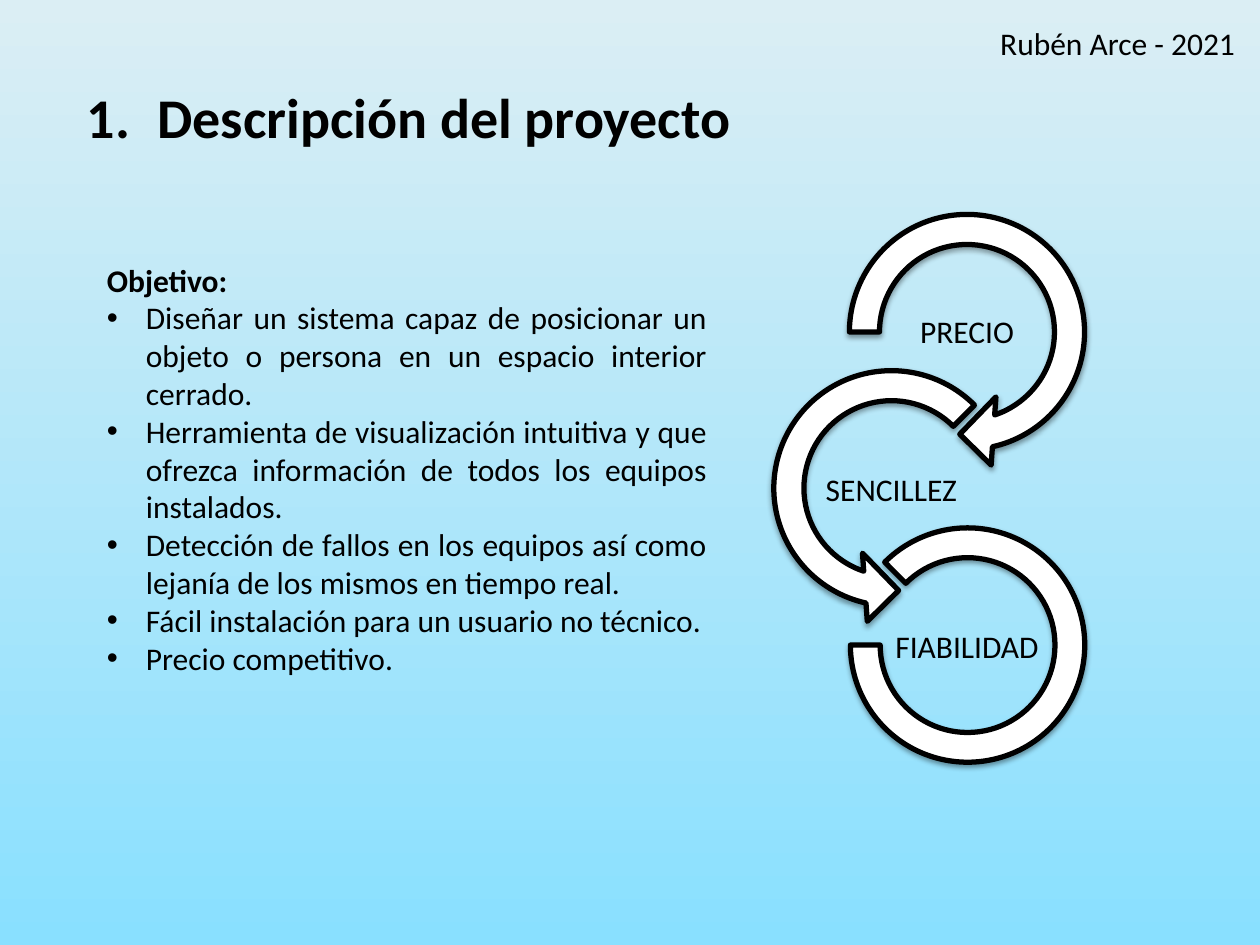
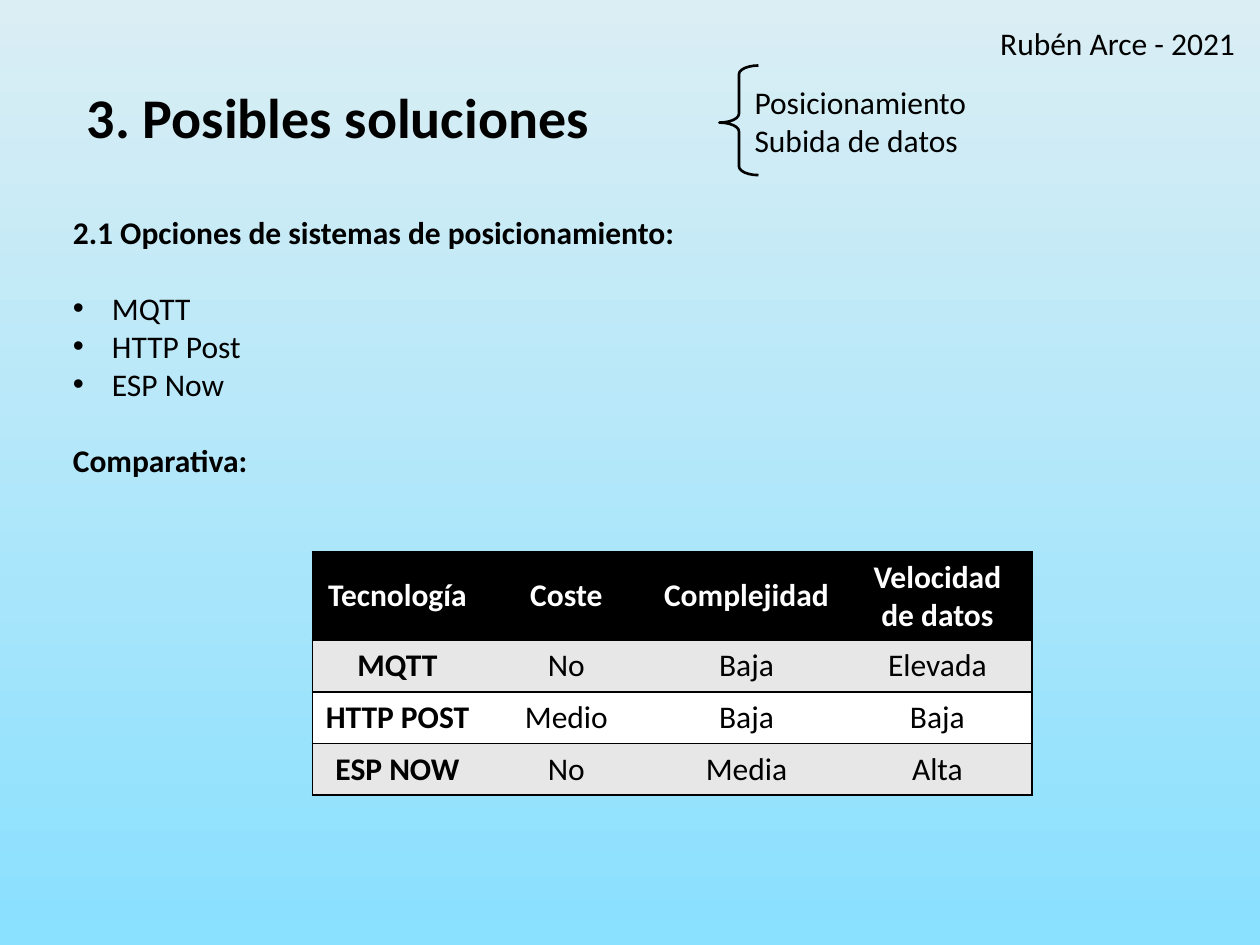
from lxml import etree
from pptx import Presentation
from pptx import util as u
from pptx.dml.color import RGBColor
from pptx.enum import shapes, text
from pptx.oxml import parse_xml
from pptx.oxml.ns import nsdecls, qn

FONT = "Calibri"
BLACK, WHITE, GREY = "000000", "FFFFFF", "E7E7E7"
SKY_TOP, SKY_BOTTOM = "DBEEF4", "89E0FF"
PLAIN_TABLE = "{2D5ABB26-0587-4C30-8999-92F81FD0307C}"
LEFT, CENTER, JUSTIFY = text.PP_ALIGN.LEFT, text.PP_ALIGN.CENTER, text.PP_ALIGN.JUSTIFY
TOP, MIDDLE = text.MSO_ANCHOR.TOP, text.MSO_ANCHOR.MIDDLE
SHAPE = shapes.MSO_SHAPE


def color(code):
    return RGBColor.from_string(code)


def inches(values):
    return [u.Inches(value) for value in values]


def write(para, words, size=18, ink=BLACK, bold=False, align=LEFT,
          before=0, bullet=None, indent=0.31):
    """Fill one paragraph with formatted text; bullet is a character or "auto"."""
    para.alignment = align
    para.space_before = u.Pt(before)
    span = para.add_run()
    span.text = words
    span.font.name, span.font.size, span.font.bold = FONT, u.Pt(size), bold
    span.font.color.rgb = color(ink)
    if bullet:
        props = para._p.get_or_add_pPr()
        props.set("marL", str(u.Inches(indent)))
        props.set("indent", str(-u.Inches(indent)))
        if bullet == "auto":
            etree.SubElement(props, qn("a:buAutoNum"), type="arabicPeriod")
        else:
            etree.SubElement(props, qn("a:buFont"), typeface="Arial")
            etree.SubElement(props, qn("a:buChar"), char=bullet)


class Builder:
    def __init__(self):
        self.deck = Presentation()
        self.deck.slide_width, self.deck.slide_height = inches((10, 7.5))
        self.page = None

    def new_page(self):
        """Start a slide with the shared sky background and author line."""
        self.page = self.deck.slides.add_slide(self.deck.slide_layouts[6])
        fill = self.page.background.fill
        fill.gradient()
        fill.gradient_angle = 270
        for stop, code in zip(fill.gradient_stops, (SKY_TOP, SKY_BOTTOM)):
            stop.color.rgb = color(code)
        self.text(["Rubén Arce - 2021"], (7.84, 0.14, 2.2, 0.4))

    def title(self, words, width, **style):
        self.text([words], (0.59, 0.61, width, 0.64), size=32, bold=True, **style)

    def text(self, lines, at, anchor=TOP, inset=None, **style):
        """Add a text box; a line is a string or a (string, format) pair."""
        box = self.page.shapes.add_textbox(*inches(at))
        frame = box.text_frame
        frame.word_wrap, frame.vertical_anchor = True, anchor
        if inset is not None:
            frame.margin_left = frame.margin_right = u.Inches(inset)
            frame.margin_top = frame.margin_bottom = u.Inches(inset)
        for index, line in enumerate(lines):
            words, extra = (line, {}) if isinstance(line, str) else line
            para = frame.add_paragraph() if index else frame.paragraphs[0]
            write(para, words, **{**style, **extra})

    def shape(self, kind, at, adjustments, line, fill=None, shadow=False):
        box = self.page.shapes.add_shape(kind, *inches(at))
        for index, value in enumerate(adjustments):
            box.adjustments[index] = value
        if fill:
            box.fill.solid()
            box.fill.fore_color.rgb = color(fill)
        else:
            box.fill.background()
        box.line.color.rgb, box.line.width = color(BLACK), u.Pt(line)
        box.shadow.inherit = False
        if shadow:
            box._element.spPr.find(qn("a:effectLst")).append(parse_xml(
                f'<a:outerShdw {nsdecls("a")} blurRad="{u.Pt(3.1)}" dist="{u.Pt(1.6)}" '
                f'dir="5400000" rotWithShape="0"><a:srgbClr val="{BLACK}">'
                '<a:alpha val="38000"/></a:srgbClr></a:outerShdw>'))

    def table(self, rows, at, widths, heights):
        frame = self.page.shapes.add_table(len(rows), len(widths), *inches(at))
        grid = frame.table
        next(frame._element.iter(qn("a:tableStyleId"))).text = PLAIN_TABLE
        for column, width in zip(grid.columns, inches(widths)):
            column.width = width
        for row, height in zip(grid.rows, inches(heights)):
            row.height = height
        for r, words in enumerate(rows):
            for c, word in enumerate(words):
                cell = grid.cell(r, c)
                cell.vertical_anchor = MIDDLE
                # Rules between rows, closed at the outer sides
                sides = ["L"] * (c == 0) + ["R"] * (c == len(widths) - 1) + ["T", "B"]
                for side in sides:
                    cell._tc.get_or_add_tcPr().append(parse_xml(
                        f'<a:ln{side} {nsdecls("a")} w="{u.Pt(1)}"><a:solidFill>'
                        f'<a:srgbClr val="{BLACK}"/></a:solidFill></a:ln{side}>'))
                cell.fill.solid()
                cell.fill.fore_color.rgb = color(
                    BLACK if r == 0 else GREY if r % 2 else WHITE)
                write(cell.text_frame.paragraphs[0], word, align=CENTER,
                      ink=BLACK if r else WHITE, bold=r == 0 or c == 0)


def description_page(builder):
    builder.new_page()
    builder.title("Descripción del proyecto", 8.58, bullet="auto", indent=0.56)

    # Goals
    goals = [
        "Diseñar un sistema capaz de posicionar un objeto o persona en un espacio interior cerrado.",
        "Herramienta de visualización intuitiva y que ofrezca información de todos los equipos instalados.",
        "Detección de fallos en los equipos así como lejanía de los mismos en tiempo real.",
        "Fácil instalación para un usuario no técnico.",
        "Precio competitivo.",
    ]
    builder.text([("Objetivo:", {"bold": True})] + [(goal, {"bullet": "•"}) for goal in goals],
                 (0.75, 2.02, 4.96, 4.04), align=JUSTIFY)

    # Chain of ring arrows with a quality inside each
    rings = [
        ("PRECIO", 7.07, SHAPE.CIRCULAR_ARROW, (6.59, 1.55, 2.17, 2.17),
         (0.11, 11.42, 45, 108, 0.125)),
        ("SENCILLEZ", 6.47, SHAPE.LEFT_CIRCULAR_ARROW, (5.99, 2.79, 2.17, 2.17),
         (0.11, 11.42, 63, 189, 0.125)),
        ("FIABILIDAD", 7.07, SHAPE.BLOCK_ARC, (6.75, 4.19, 1.86, 1.86), (135, 108, 0.127)),
    ]
    for index, (quality, left, kind, at, adjustments) in enumerate(rings):
        builder.shape(kind, at, adjustments, line=3, fill=WHITE, shadow=True)
        builder.text([quality], (left, 2.33 + 1.25 * index, 1.21, 0.6),
                     anchor=MIDDLE, inset=0.01, align=CENTER)


def solutions_page(builder):
    builder.new_page()
    builder.title("3. Posibles soluciones", 5.12)

    # Braced topics beside the title
    builder.shape(SHAPE.LEFT_BRACE, (5.71, 0.52, 0.31, 0.87), (0.225, 0.521), line=1.5)
    builder.text(["Posicionamiento", "Subida de datos"], (5.89, 0.61, 1.97, 1.01), align=JUSTIFY)

    # Options
    gap = 22
    heading = {"bold": True}
    builder.text([
        ("2.1 Opciones de sistemas de posicionamiento:", heading),
        ("MQTT", {"bullet": "•", "before": gap}),
        ("HTTP Post", {"bullet": "•"}),
        ("ESP Now", {"bullet": "•"}),
        ("Comparativa:", {**heading, "before": gap}),
    ], (0.48, 1.64, 6.02, 2.83), align=JUSTIFY)

    # Comparison
    builder.table([
        ("Tecnología", "Coste", "Complejidad", "Velocidad de datos"),
        ("MQTT", "No", "Baja", "Elevada"),
        ("HTTP POST", "Medio", "Baja", "Baja"),
        ("ESP NOW", "No", "Media", "Alta"),
    ], (2.48, 4.38, 5.71, 1.92), (1.35, 1.33, 1.53, 1.5), (0.7, 0.41, 0.41, 0.41))


def main():
    builder = Builder()
    description_page(builder)
    solutions_page(builder)
    builder.deck.save("out.pptx")


if __name__ == "__main__":
    main()
